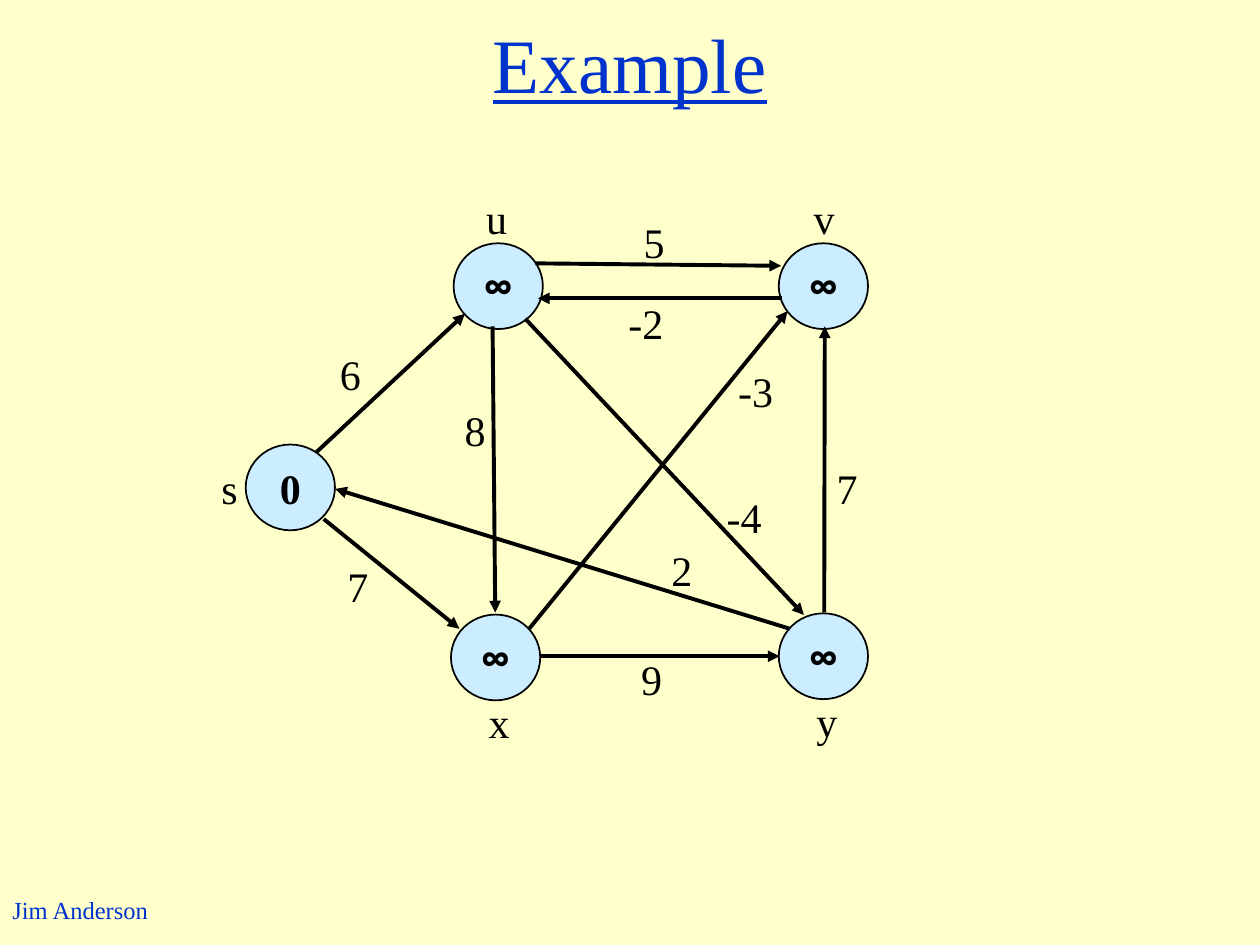
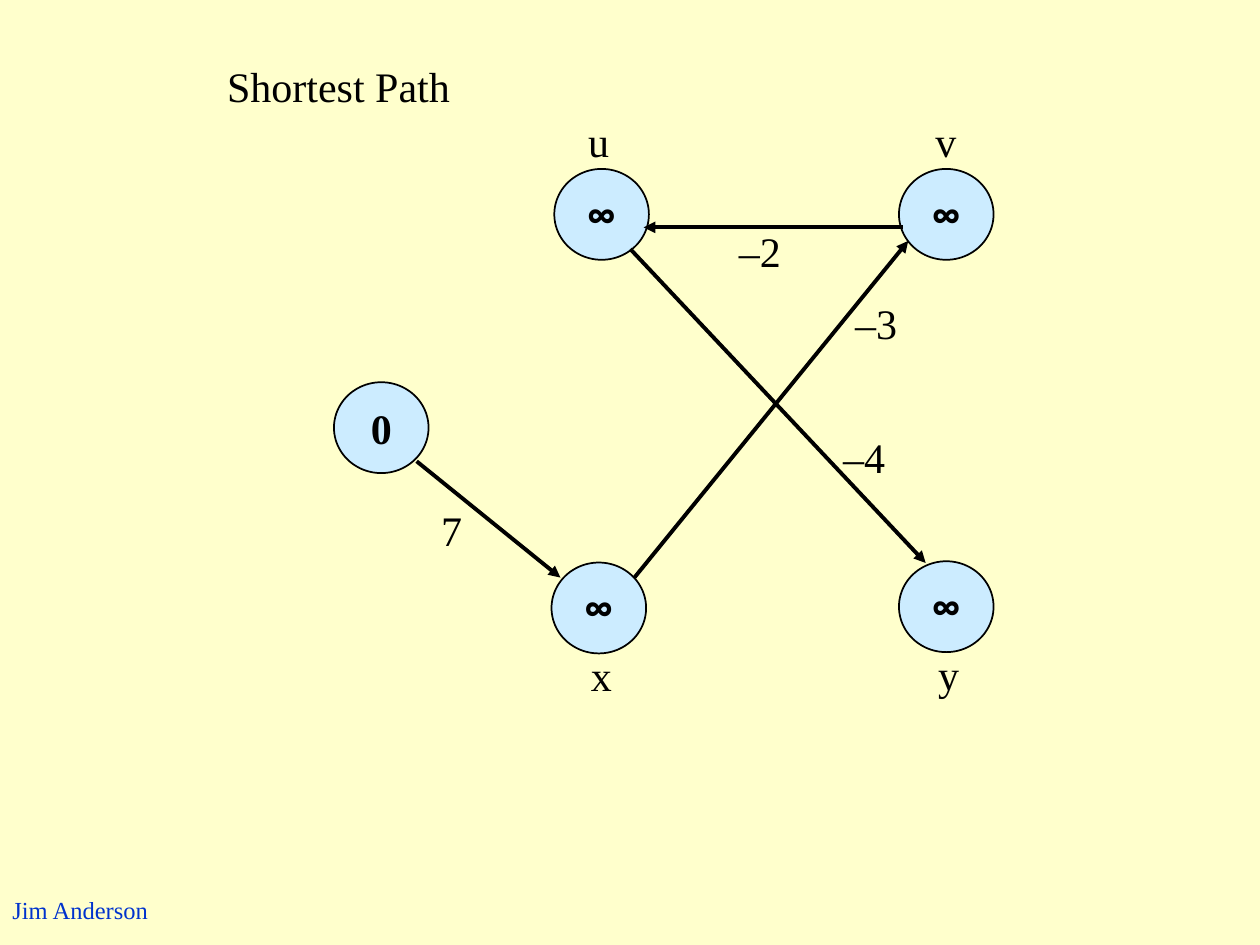
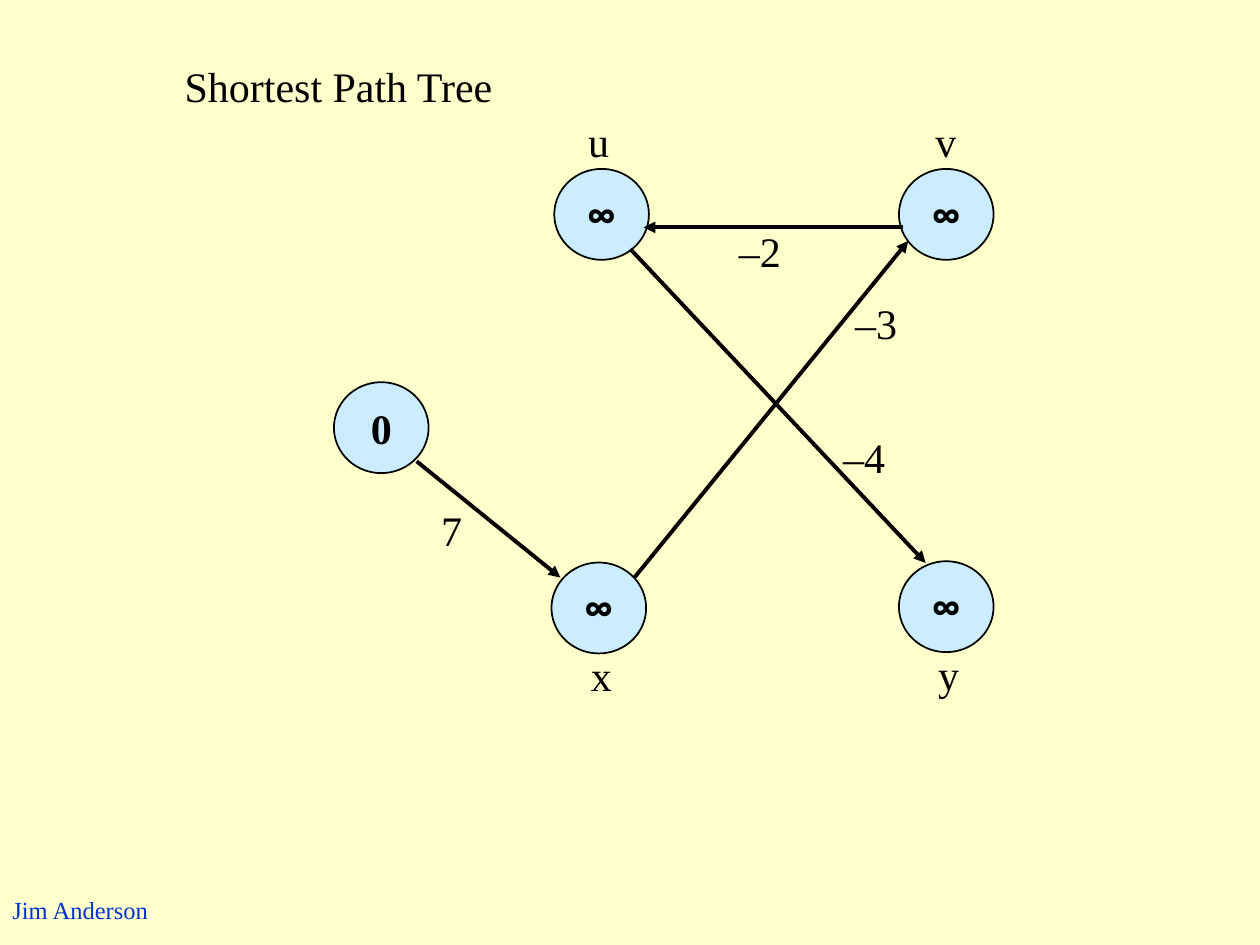
from dataclasses import dataclass
from typing import NamedTuple

import pptx
import pptx.dml.color
import pptx.enum.shapes
import pptx.enum.text
import pptx.oxml.ns
import pptx.shapes.autoshape
import pptx.slide
import pptx.util
from lxml import etree

Pt = pptx.util.Pt
Color = pptx.dml.color.RGBColor
Align = pptx.enum.text.PP_ALIGN
Anchor = pptx.enum.text.MSO_ANCHOR


@dataclass(frozen=True)
class Theme:
    paper: Color = Color(0xFF, 0xFF, 0xCC)
    accent: Color = Color(0x00, 0x33, 0xCC)
    ink: Color = Color(0x00, 0x00, 0x00)
    node: Color = Color(0xCC, 0xEC, 0xFF)
    font: str = "Times New Roman"
    symbol_font: str = "Open Sans"
    title_size: float = 44
    body_size: float = 24
    footer_size: float = 14
    outline: float = 1
    arrow: float = 2.25


THEME = Theme()


class Point(NamedTuple):
    x: float
    y: float


class Area(NamedTuple):
    left: float
    top: float
    width: float
    height: float


@dataclass(frozen=True)
class Node:
    name: str
    distance: str
    corner: Point
    name_at: Point


@dataclass(frozen=True)
class Edge:
    ends: str
    start: Point
    end: Point
    weight: int
    weight_at: Point


@dataclass(frozen=True)
class View:
    """How a slide shows the graph: scale and shift, edges, names and minus sign."""
    scale: float
    shift: Point
    edges: tuple[str, ...]
    names: str
    minus: str

    def place(self, point: Point) -> Point:
        return Point(self.shift.x + self.scale * point.x,
                     self.shift.y + self.scale * point.y)

    def area(self, corner: Point, width: float, height: float) -> Area:
        return Area(*self.place(corner), self.scale * width, self.scale * height)


NODE_WIDTH, NODE_HEIGHT = 51, 49
LABEL_HEIGHT = 36
LABEL_WIDTHS = {1: 25, 2: 38}

NODES = (
    Node("s", "0", Point(140.4, 254), Point(119.5, 260.6)),
    Node("y", "∞", Point(445, 350.5), Point(459.4, 394)),
    Node("x", "∞", Point(257.7, 351.2), Point(272.2, 394.6)),
    Node("v", "∞", Point(445, 139), Point(457.9, 106.6)),
    Node("u", "∞", Point(259.2, 139), Point(270.7, 106.6)),
)
EDGES = (
    Edge("su", Point(180.7, 258.5), Point(265.7, 179.3), 6, Point(187.2, 195.8)),
    Edge("sx", Point(185, 296.6), Point(262.5, 359.3), 7, Point(191.5, 316.8)),
    Edge("ux", Point(281.5, 186.5), Point(283, 350), 8, Point(258.5, 227.5)),
    Edge("yv", Point(471, 350), Point(471.3, 186.5), 7, Point(471, 260.6)),
    Edge("xy", Point(309, 375), Point(445.5, 375), 9, Point(359.3, 370)),
    Edge("uv", Point(306, 150.5), Point(446.4, 151.9), 5, Point(360.7, 120.2)),
    Edge("xv", Point(302.4, 359.3), Point(450, 177.8), -3, Point(414.7, 205.2)),
    Edge("ys", Point(451.4, 359.3), Point(191.5, 279.4), 2, Point(376.6, 307.4)),
    Edge("vu", Point(447, 170.5), Point(307.4, 170.5), -2, Point(352, 166.3)),
    Edge("uy", Point(300.2, 182.2), Point(459.4, 351.4), -4, Point(408.2, 277.2)),
)

FULL_GRAPH = View(1, Point(0, 0), tuple(edge.ends for edge in EDGES), "suvxy", "-")
PATH_GRAPH = View(1.06, Point(42, -50.8), ("sx", "xv", "vu", "uy"), "uvxy", "–")

HEADING = Area(0, 0, 720, 72)
CAPTION = Area(16.5, 16.5, 354, 65)
FOOTER = Area(0, 508, 92, 24.5)


def write(shape: pptx.shapes.autoshape.Shape, text: str, size: float = THEME.body_size,
          color: Color = THEME.ink, font: str = THEME.font, centered: bool = False,
          bold: bool = False, underline: bool = False) -> None:
    frame = shape.text_frame
    frame.text = text
    frame.vertical_anchor = Anchor.MIDDLE if centered else Anchor.TOP
    para = frame.paragraphs[0]
    para.alignment = Align.CENTER if centered else Align.LEFT
    for span in para.runs:
        span.font.name = font
        span.font.size = Pt(size)
        span.font.color.rgb = color
        span.font.bold = bold
        span.font.underline = underline


def add_box(page: pptx.slide.Slide, area: Area, wrap: bool = False) -> pptx.shapes.autoshape.Shape:
    box = page.shapes.add_textbox(*map(Pt, area))
    box.text_frame.word_wrap = wrap
    return box


def add_node(page: pptx.slide.Slide, node: Node, view: View) -> None:
    area = view.area(node.corner, NODE_WIDTH, NODE_HEIGHT)
    circle = page.shapes.add_shape(pptx.enum.shapes.MSO_SHAPE.OVAL, *map(Pt, area))
    circle.shadow.inherit = False
    circle.fill.solid()
    circle.fill.fore_color.rgb = THEME.node
    circle.line.color.rgb = THEME.ink
    circle.line.width = Pt(THEME.outline)
    circle.text_frame.word_wrap = False
    font = THEME.symbol_font if node.distance == "∞" else THEME.font
    write(circle, node.distance, font=font, centered=True, bold=True)


def add_arrow(page: pptx.slide.Slide, start: Point, end: Point) -> None:
    arrow = page.shapes.add_connector(pptx.enum.shapes.MSO_CONNECTOR.STRAIGHT,
                                      *map(Pt, start + end))
    arrow.line.color.rgb = THEME.ink
    arrow.line.width = Pt(THEME.arrow)
    qn = pptx.oxml.ns.qn
    outline = arrow.line._get_or_add_ln()
    etree.SubElement(outline, qn("a:tailEnd"), type="triangle")
    etree.SubElement(arrow._element.spPr, qn("a:effectLst"))


def add_label(page: pptx.slide.Slide, text: str, corner: Point, view: View) -> None:
    area = view.area(corner, LABEL_WIDTHS[len(text)], LABEL_HEIGHT)
    write(add_box(page, area), text)


def add_graph(page: pptx.slide.Slide, view: View) -> None:
    edges = [edge for edge in EDGES if edge.ends in view.edges]
    for node in NODES:
        add_node(page, node, view)
    for edge in edges:
        add_arrow(page, view.place(edge.start), view.place(edge.end))
    for node in NODES:
        if node.name in view.names:
            add_label(page, node.name, node.name_at, view)
    for edge in edges:
        add_label(page, str(edge.weight).replace("-", view.minus), edge.weight_at, view)


def add_page(deck: pptx.presentation.Presentation) -> pptx.slide.Slide:
    page = deck.slides.add_slide(deck.slide_layouts[6])
    page.background.fill.solid()
    page.background.fill.fore_color.rgb = THEME.paper
    write(add_box(page, FOOTER), "Jim Anderson", THEME.footer_size, THEME.accent)
    return page


def main() -> None:
    deck = pptx.Presentation()
    deck.slide_width, deck.slide_height = Pt(720), Pt(540)

    page = add_page(deck)
    write(add_box(page, HEADING, wrap=True), "Example", THEME.title_size, THEME.accent,
          centered=True, underline=True)
    add_graph(page, FULL_GRAPH)

    for caption in ("Shortest Path", "Shortest Path Tree"):
        page = add_page(deck)
        write(add_box(page, CAPTION, wrap=True), caption, centered=True)
        add_graph(page, PATH_GRAPH)

    deck.save("out.pptx")


if __name__ == "__main__":
    main()
